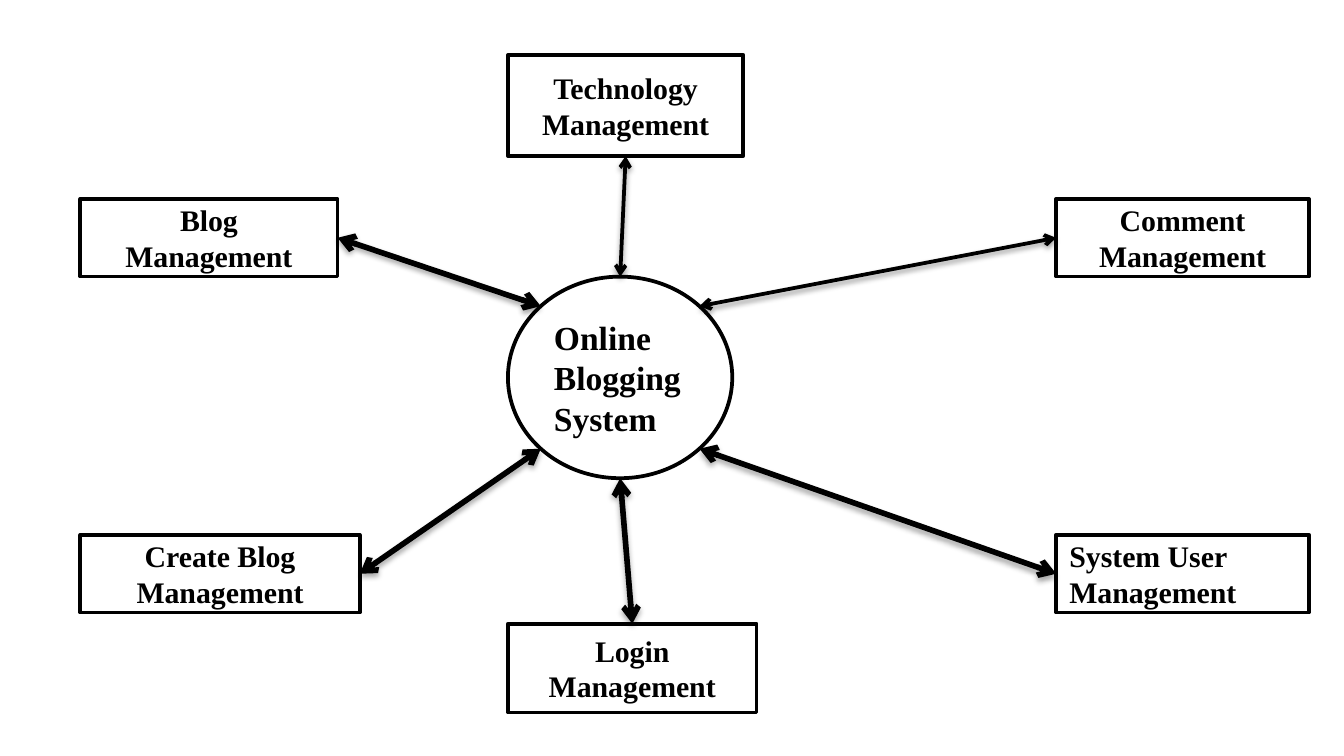
from math import cos, radians, sin
from lxml.etree import SubElement
from pptx import Presentation
from pptx.dml.color import RGBColor
from pptx.enum.shapes import MSO_CONNECTOR, MSO_SHAPE
from pptx.enum.text import MSO_ANCHOR, PP_ALIGN
from pptx.oxml.ns import qn
from pptx.util import Cm, Pt

BLACK, WHITE = "000000", "FFFFFF"
TOP, LEFT, BOTTOM, RIGHT = range(4)
COLUMN_LEFT, COLUMN_MID, COLUMN_RIGHT = 1.52, 9.6, 19.96
ROW_UPPER, ROW_LOWER, SIDE_HEIGHT = 3.76, 10.11, 1.47
CENTER, JUSTIFY = PP_ALIGN.CENTER, PP_ALIGN.JUSTIFY

MODULES = [
    (["Technology", "Management"], (COLUMN_MID, 1.04, 4.45, 1.91), CENTER, BOTTOM, 270, 2),
    (["Comment", "Management"], (COLUMN_RIGHT, ROW_UPPER, 4.78, SIDE_HEIGHT), CENTER, LEFT, 315, 2),
    (["System User", "Management"], (COLUMN_RIGHT, ROW_LOWER, 4.78, SIDE_HEIGHT), JUSTIFY, LEFT, 45, 3),
    (["Login Management"], (COLUMN_MID, 11.79, 4.7, 1.68), CENTER, TOP, 90, 3),
    (["Create Blog Management"], (COLUMN_LEFT, ROW_LOWER, 5.28, SIDE_HEIGHT), CENTER, RIGHT, 135, 3),
    (["Blog Management"], (COLUMN_LEFT, ROW_UPPER, 4.86, SIDE_HEIGHT), CENTER, RIGHT, 225, 3),
]


def color(value):
    return RGBColor.from_string(value)


def apply(target, values):
    for name, value in values.items():
        setattr(target, name, value)


def add_node(s, kind, lines, box, size, align):
    sp = s.shapes.add_shape(kind, *map(Cm, box))
    sp.shadow.inherit = False
    sp.fill.solid()
    sp.fill.fore_color.rgb = color(WHITE)
    sp.line.color.rgb = color(BLACK)
    sp.line.width = Pt(2)
    tf = sp.text_frame
    apply(tf, {"word_wrap": True, "vertical_anchor": MSO_ANCHOR.MIDDLE})
    for i, text in enumerate(lines):
        p = tf.add_paragraph() if i else tf.paragraphs[0]
        p.alignment = align
        r = p.add_run()
        r.text = text
        apply(r.font, {"name": "Times New Roman", "size": Pt(size), "bold": True})
        r.font.color.rgb = color(BLACK)
    return sp


def rim_point(circle, angle):
    rx, ry = circle.width / 2, circle.height / 2
    a = radians(angle)
    return (round(circle.left + rx + rx * cos(a)),
            round(circle.top + ry + ry * sin(a)))


def add_shadow(cxn, distance, opacity):
    effects = SubElement(cxn._element.spPr, qn("a:effectLst"))
    shadow = SubElement(effects, qn("a:outerShdw"), blurRad=str(Pt(3.1)),
                        dist=str(Pt(distance)), dir="5400000", rotWithShape="0")
    tint = SubElement(shadow, qn("a:srgbClr"), val=BLACK)
    SubElement(tint, qn("a:alpha"), val=str(opacity * 1000))


def add_link(s, circle, angle, sp, site, width):
    x, y = rim_point(circle, angle)
    cxn = s.shapes.add_connector(MSO_CONNECTOR.STRAIGHT, x, y, x, y)
    cxn.end_connect(sp, site)
    cxn.line.color.rgb = color(BLACK)
    cxn.line.width = Pt(width)
    for end in ("a:headEnd", "a:tailEnd"):
        SubElement(cxn.line._get_or_add_ln(), qn(end), type="arrow")
    add_shadow(cxn, *((1.6, 38) if width == 2 else (1.8, 35)))


def main():
    prs = Presentation()
    apply(prs, {"slide_width": Cm(25.4), "slide_height": Cm(14.29)})
    s = prs.slides.add_slide(prs.slide_layouts[6])
    circle = add_node(s, MSO_SHAPE.OVAL, ["Online Blogging System"],
                      (COLUMN_MID, 5.23, 4.24, 3.81), 18, JUSTIFY)
    for lines, box, align, site, angle, width in MODULES:
        sp = add_node(s, MSO_SHAPE.RECTANGLE, lines, box, 16, align)
        add_link(s, circle, angle, sp, site, width)
    prs.save("out.pptx")


main()
